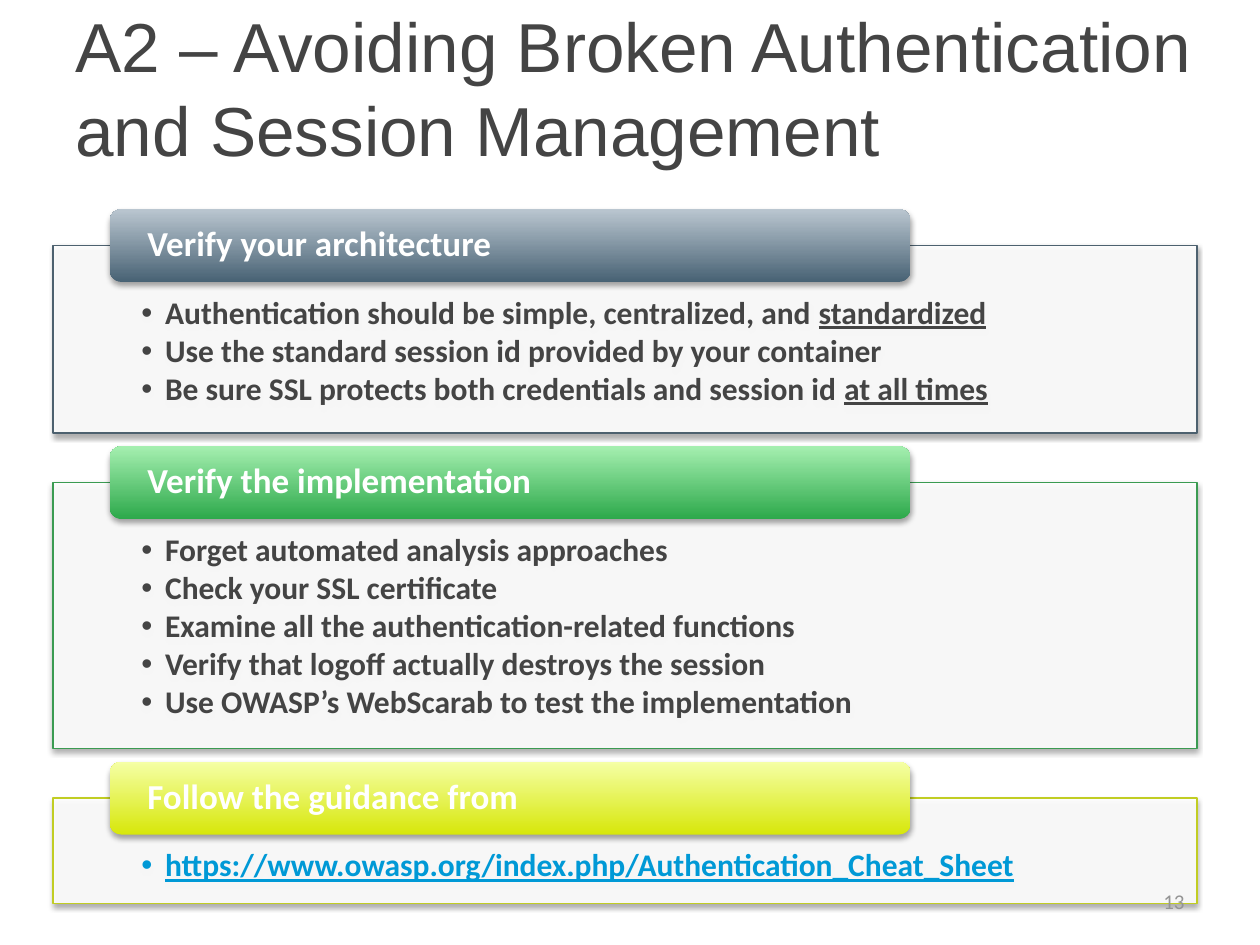
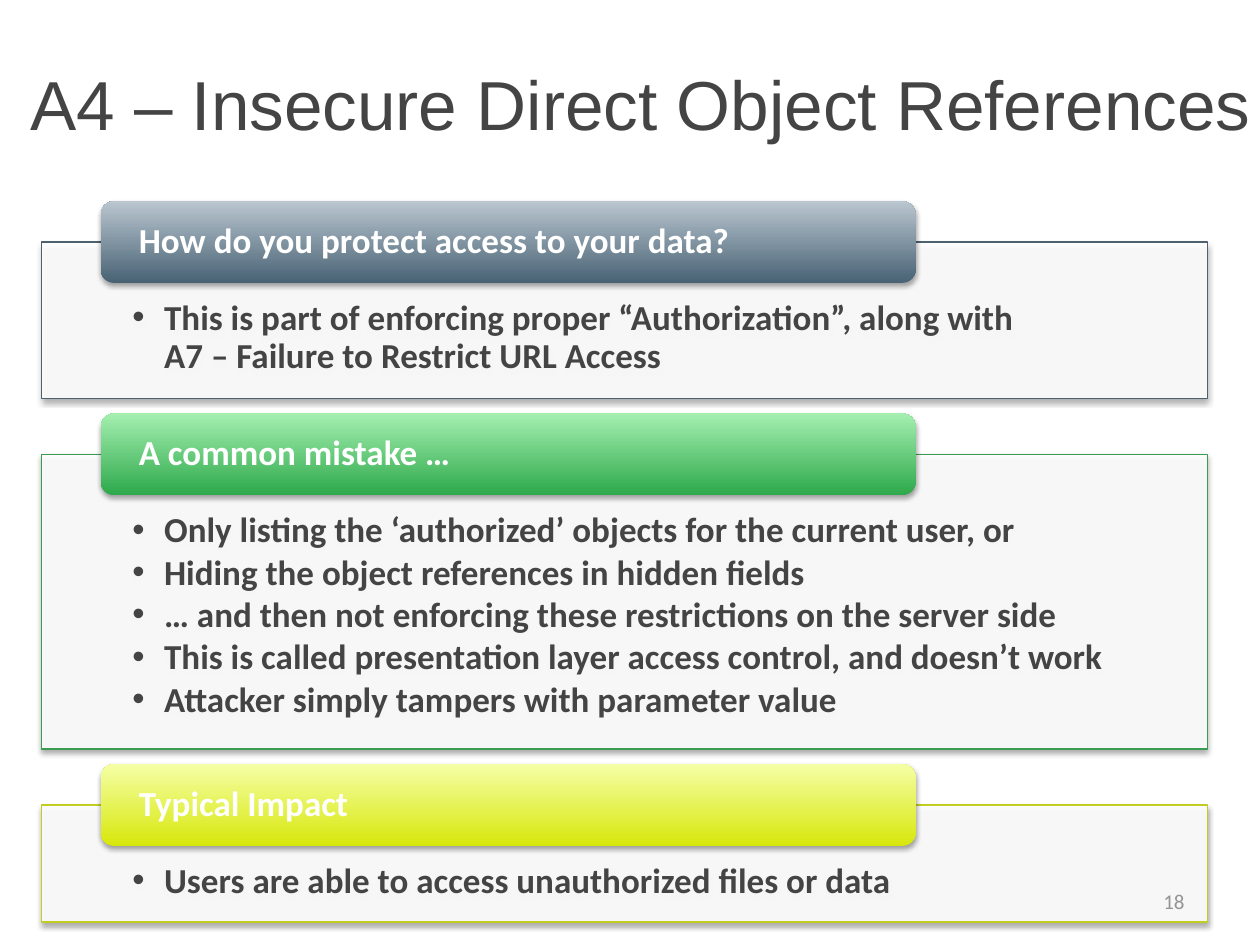
from dataclasses import dataclass

from lxml import etree
from pptx import Presentation
from pptx import util as u
from pptx.dml.color import RGBColor
from pptx.enum import shapes, text
from pptx.oxml import ns

# Shared look
HEAD, BODY = "Arial", "Calibri"
INK, WHITE, GREY, LINK = "444444", "FFFFFF", "949494", "0099D6"
SIDE = text.PP_ALIGN
MID, TOP = text.MSO_ANCHOR.MIDDLE, text.MSO_ANCHOR.TOP


@dataclass(frozen=True)
class Run:
    text: str
    line: bool = False
    color: str = INK


@dataclass(frozen=True)
class Tone:
    edge: str
    dark: str
    light: str


@dataclass(frozen=True)
class Card:
    head: str
    high: float  # panel height, cm
    items: list[list[Run]]


@dataclass(frozen=True)
class Grid:
    """Lengths in cm, text size in points."""
    left: float
    top: float
    wide: float
    gap: float
    tab: tuple[float, float, float]  # left, width, height
    pad: tuple[float, float, float]  # sides, top, bottom
    hang: float
    size: float


@dataclass(frozen=True)
class Page:
    title: str
    box: tuple[float, float, float, float]
    num: str
    grid: Grid
    cards: list[Card]


TONES = [
    Tone("4D616F", "486274", "BAC6D0"),
    Tone("3B9B52", "2DA94B", "A5EFB0"),
    Tone("C1CD23", "D7E70A", "F5FFA6"),
]


def rgb(code: str) -> RGBColor:
    return RGBColor.from_string(code)


def sub(node, tag: str, **attrs):
    return etree.SubElement(node, ns.qn(tag), {k: str(v) for k, v in attrs.items()})


def plain(*lines: str) -> list[list[Run]]:
    return [[Run(line)] for line in lines]


def write(shape, paras: list[list[Run]], *, size: float, font: str = BODY,
          color: str | None = None, bold: bool = False, align=SIDE.LEFT,
          anchor=MID, pad=(0.25, 0.13, 0.13), space: float | None = None,
          hang: float = 0) -> None:
    """Fill a shape with paragraphs of runs; a hang gives them bullets."""
    frame = shape.text_frame
    frame.word_wrap = True
    frame.vertical_anchor = anchor
    frame.margin_left = frame.margin_right = u.Cm(pad[0])
    frame.margin_top, frame.margin_bottom = u.Cm(pad[1]), u.Cm(pad[2])
    for i, runs in enumerate(paras):
        para = frame.add_paragraph() if i else frame.paragraphs[0]
        para.alignment = align
        if space:
            para.line_spacing = space
        if hang:
            para.space_after = u.Pt(round(0.13 * size, 1))
            props = para._p.get_or_add_pPr()
            props.set("marL", str(u.Cm(hang)))
            props.set("indent", str(-u.Cm(hang)))
            sub(props, "a:buFont", typeface=HEAD)
            sub(props, "a:buChar", char="•")
        for run in runs:
            for j, part in enumerate(run.text.split("\n")):
                if j:
                    para.add_line_break()
                bit = para.add_run()
                bit.text = part
                bit.font.name, bit.font.size = font, u.Pt(size)
                bit.font.bold, bit.font.underline = bold, run.line
                bit.font.color.rgb = rgb(color or run.color)


def label(slide, box, words: str, **form) -> None:
    shape = slide.shapes.add_textbox(*map(u.Cm, box))
    write(shape, plain(words), **form)


def block(slide, kind, *box: float):
    """Add a shape with the soft shadow below it."""
    shape = slide.shapes.add_shape(kind, *map(u.Cm, box))
    shape.shadow.inherit = False
    glow = shape._element.spPr.find(ns.qn("a:effectLst"))
    drop = sub(glow, "a:outerShdw", blurRad=u.Pt(3.1), dist=u.Pt(1.8),
               dir=5400000, rotWithShape=0)
    sub(sub(drop, "a:srgbClr", val="000000"), "a:alpha", val=35000)
    return shape


def draw_card(slide, card: Card, tone: Tone, grid: Grid, top: float) -> None:
    # Panel with bullets
    panel = block(slide, shapes.MSO_SHAPE.RECTANGLE, grid.left, top, grid.wide, card.high)
    panel.fill.solid()
    panel.fill.fore_color.rgb = rgb(WHITE)
    tint = panel._element.spPr.find(ns.qn("a:solidFill"))[0]
    sub(tint, "a:alpha", val=90000)
    panel.line.color.rgb = rgb(tone.edge)
    panel.line.width = u.Pt(0.75)
    write(panel, card.items, size=grid.size, bold=True, anchor=TOP,
          pad=grid.pad, space=0.9, hang=grid.hang)

    # Tab centred on the top edge
    left, wide, high = grid.tab
    tab = block(slide, shapes.MSO_SHAPE.ROUNDED_RECTANGLE, left, top - high / 2, wide, high)
    tab.fill.gradient()
    tab.fill.gradient_angle = 90
    for stop, code in zip(tab.fill.gradient_stops, (tone.dark, tone.light)):
        stop.color.rgb = rgb(code)
    tab.line.fill.background()
    write(tab, plain(card.head), size=20, color=WHITE, bold=True,
          pad=(0.69, 0, 0), space=0.9)


def draw_page(deck, page: Page) -> None:
    slide = deck.slides.add_slide(deck.slide_layouts[6])
    label(slide, page.box, page.title, size=39.6, font=HEAD)
    top = page.grid.top
    for card, tone in zip(page.cards, TONES):
        draw_card(slide, card, tone, page.grid, top)
        top += card.high + page.grid.gap
    label(slide, (18.21, 17.65, 5.92, 1.02), page.num, size=12, color=GREY,
          align=SIDE.RIGHT)


PAGES = [
    Page(
        "A2 – Avoiding Broken Authentication and Session Management",
        (1.27, 0.76, 23.7, 1.98), "13",
        Grid(1.07, 4.95, 23.06, 1.0, (2.21, 16.15, 1.47), (1.78, 1.04, 0.36), 0.48, 18),
        [
            Card("Verify your architecture", 3.78, [
                [Run("Authentication should be simple, centralized, and "),
                 Run("standardized", line=True)],
                [Run("Use the standard session id provided by your container")],
                [Run("Be sure SSL protects both credentials and session id "),
                 Run("at all times", line=True)],
            ]),
            Card("Verify the implementation", 5.36, plain(
                "Forget automated analysis approaches",
                "Check your SSL certificate",
                "Examine all the authentication-related functions",
                "Verify that logoff actually destroys the session",
                "Use OWASP’s WebScarab to test the implementation",
            )),
            Card("Follow the guidance from", 2.13, [
                [Run("https://www.owasp.org/index.php/Authentication_Cheat_Sheet",
                     line=True, color=LINK)],
            ]),
        ],
    ),
    Page(
        "A4 – Insecure Direct Object References",
        (0.36, 0.71, 25.68, 2.74), "18",
        Grid(0.84, 4.88, 23.5, 1.13, (2.03, 16.43, 1.65), (1.83, 1.17, 0.41), 0.64, 20),
        [
            Card("How do you protect access to your data?", 3.15, plain(
                "This is part of enforcing proper “Authorization”, along with\n"
                "A7 – Failure to Restrict URL Access",
            )),
            Card("A common mistake …", 5.94, plain(
                "Only listing the ‘authorized’ objects for the current user, or",
                "Hiding the object references in hidden fields",
                "… and then not enforcing these restrictions on the server side",
                "This is called presentation layer access control, and doesn’t work",
                "Attacker simply tampers with parameter value",
            )),
            Card("Typical Impact", 2.36, plain(
                "Users are able to access unauthorized files or data",
            )),
        ],
    ),
]


def main() -> None:
    deck = Presentation()
    deck.slide_width, deck.slide_height = u.Cm(25.4), u.Cm(19.05)
    for page in PAGES:
        draw_page(deck, page)
    deck.save("out.pptx")


if __name__ == "__main__":
    main()
